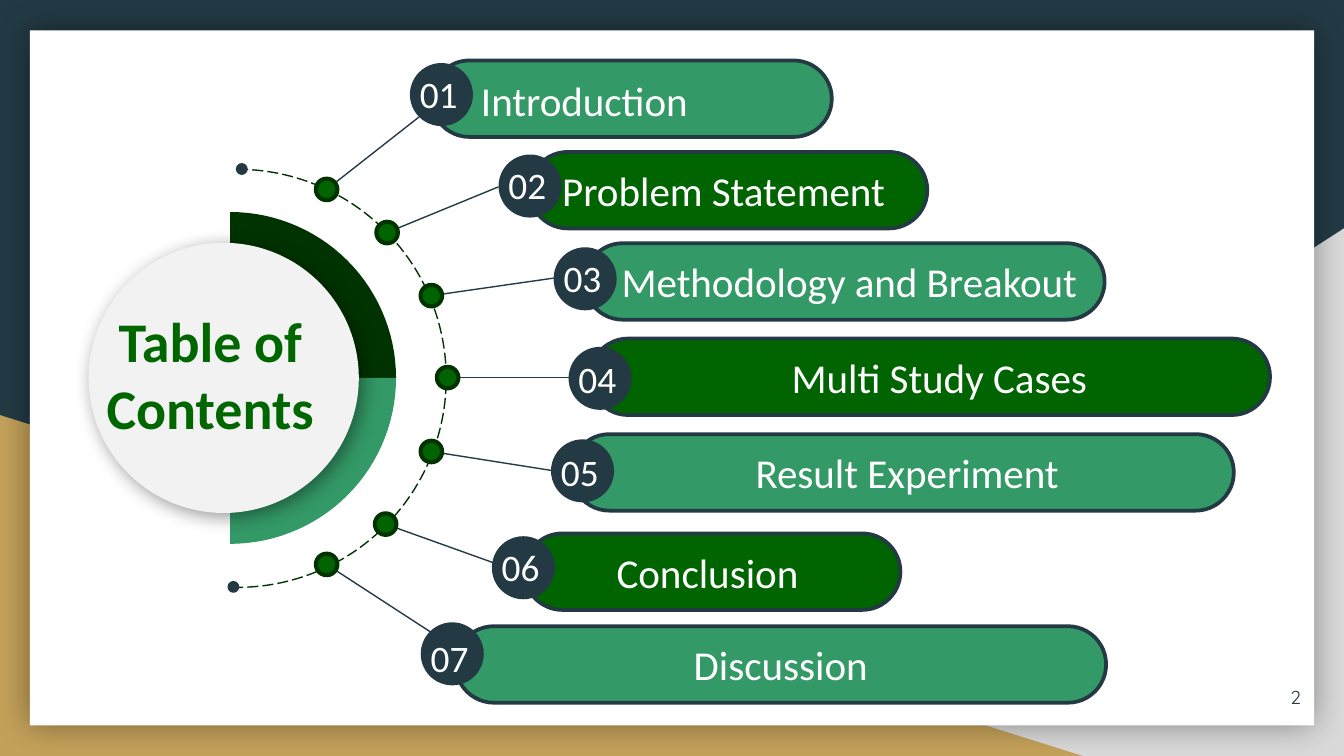
import math

from lxml import etree
from pptx import Presentation
from pptx.dml.color import RGBColor
from pptx.enum import shapes, text
from pptx.oxml import ns
from pptx.util import Pt

NAVY = RGBColor(0x23, 0x3A, 0x44)
GREY = RGBColor(0xD9, 0xD9, 0xD9)
GOLD = RGBColor(0xC4, 0xA1, 0x5A)
WHITE = RGBColor(0xFF, 0xFF, 0xFF)
PALE = RGBColor(0xF2, 0xF2, 0xF2)
FOREST = RGBColor(0x00, 0x33, 0x00)
DARK = RGBColor(0x00, 0x64, 0x00)
LIGHT = RGBColor(0x33, 0x99, 0x66)
TITLE = RGBColor(0x00, 0x66, 0x00)

KIND = shapes.MSO_SHAPE
ALIGN = text.PP_ALIGN
MIDDLE = text.MSO_ANCHOR.MIDDLE

prs = Presentation()
prs.slide_width, prs.slide_height = Pt(720), Pt(405)
s = prs.slides.add_slide(prs.slide_layouts[6])
s.background.fill.solid()
s.background.fill.fore_color.rgb = NAVY


def add_shape(kind, x, y, w, h, fill=None, line=None, width=1):
    sp = s.shapes.add_shape(kind, Pt(x), Pt(y), Pt(w), Pt(h))
    sp.shadow.inherit = False
    if fill is None:
        sp.fill.background()
    else:
        sp.fill.solid()
        sp.fill.fore_color.rgb = fill
    if line is None:
        sp.line.fill.background()
    else:
        sp.line.color.rgb = line
        sp.line.width = Pt(width)
    return sp


def write(sp, lines, size, color=WHITE, align=ALIGN.LEFT, font="Calibri", bold=False):
    tf = sp.text_frame
    tf.word_wrap = True
    for i, line in enumerate(lines):
        p = tf.paragraphs[0] if i == 0 else tf.add_paragraph()
        p.alignment = align
        r = p.add_run()
        r.text = line
        r.font.name, r.font.size, r.font.bold = font, Pt(size), bold
        r.font.color.rgb = color
    return tf


# Backdrop and white panel
grey = add_shape(KIND.RIGHT_TRIANGLE, 282, 122.4, 438, 282.6, GREY)
grey._element.spPr.xfrm.set("flipH", "1")
add_shape(KIND.RIGHT_TRIANGLE, 0, 222.4, 580, 182.6, GOLD)
panel = add_shape(KIND.RECTANGLE, 16, 16.3, 688, 372.4, WHITE)

number = s.shapes.add_textbox(Pt(661), Pt(358), Pt(43), Pt(31))
tf = write(number, ["2"], 10, NAVY, ALIGN.RIGHT, "Quicksand")
tf.vertical_anchor = MIDDLE

# Dashed arc with its end dots
arc = add_shape(KIND.ARC, 15.1, 90.7, 224, 224, None, FOREST, 0.75)
arc.adjustments[0], arc.adjustments[1] = 162, 54.47
arc.line.dash_style = shapes_dash = None
etree.SubElement(arc.line._get_or_add_ln(), ns.qn("a:prstDash"), val="lgDash")
for x, y in ((127.4, 88.4), (122.9, 312.3)):
    add_shape(KIND.OVAL, x, y, 4.3, 4.3, NAVY, NAVY, 2)

# label, pill (x, y, width), badge (x, y), number top, dot centre, line end, text shift
ITEMS = [
    ("Introduction", (231, 32.4, 214.6), (219.6, 33.8), 34.6, (175, 101.5), (224.6, 62.6), 0),
    ("Problem Statement", (283.7, 81.4, 213.1), (267.1, 82.8), 83.5, (207.4, 124.6), (267.1, 100.1), -2.5),
    ("Methodology and Breakout", (313.2, 130.3, 278.6), (296.6, 132.5), 133.2, (231.1, 158.4), (296.6, 149), 2.5),
    ("Multi Study Cases", (316.1, 181.4, 364.3), (304.6, 185.8), 187.2, (239.8, 202.3), (304.6, 202.3), 5),
    ("Result Experiment", (306, 232.6, 355), (295.2, 235.4), 236.9, (231.1, 241.9), (295.2, 252), 2.5),
    ("Conclusion", (280.8, 285.8, 201.6), (263.5, 287.3), 288, (206.6, 280.8), (275, 305.3), -2.5),
    ("Discussion", (244.1, 335.5, 348.5), (225.4, 333.4), 337, (175, 302.4), (230.4, 338.4), 0),
]
DOT, BADGE, PILL_H = 11.5, 33.8, 41

for i, (label, pill, badge, number_y, dot, end, shift) in enumerate(ITEMS):
    # Line from the rim of the dot to the badge
    (cx, cy), (ex, ey) = dot, end
    k = DOT / 2 / math.dist(dot, end)
    line = s.shapes.add_connector(
        shapes.MSO_CONNECTOR.STRAIGHT,
        Pt(cx + k * (ex - cx)), Pt(cy + k * (ey - cy)), Pt(ex), Pt(ey))
    line.line.color.rgb = NAVY
    line.line.width = Pt(0.75)
    etree.SubElement(line._element.spPr, ns.qn("a:effectLst"))
    add_shape(KIND.OVAL, cx - DOT / 2, cy - DOT / 2, DOT, DOT, DARK, FOREST, 2.25)

    x, y, w = pill
    sp = add_shape(KIND.ROUNDED_RECTANGLE, x, y, w, PILL_H, DARK if i % 2 else LIGHT, NAVY, 2)
    sp.adjustments[0] = 0.5
    if i == 0:
        box = s.shapes.add_textbox(Pt(250.6), Pt(36.7), Pt(131.8), Pt(33.8))
        write(box, [label], 22).word_wrap = False
    else:
        tf = write(sp, [label], 22, align=ALIGN.CENTER)
        tf.vertical_anchor = MIDDLE
        tf.margin_left = Pt(7.2 + 2 * max(shift, 0))
        tf.margin_right = Pt(7.2 + 2 * max(-shift, 0))

    x, y = badge
    add_shape(KIND.OVAL, x, y, BADGE, BADGE, NAVY)
    box = s.shapes.add_textbox(Pt(x - 1.8), Pt(number_y), Pt(40), Pt(31.7))
    write(box, [f"{i + 1:02d}"], 20)

# Two quarter discs around the title circle
HUB_X, HUB_Y, RADIUS = 123.3, 202.5, 88.9
for start, color in ((-90, FOREST), (0, LIGHT)):
    angles = [math.radians(start + 3 * step) for step in range(31)]
    rim = [(Pt(HUB_X + RADIUS * math.cos(a)), Pt(HUB_Y + RADIUS * math.sin(a))) for a in angles]
    fb = s.shapes.build_freeform(Pt(HUB_X), Pt(HUB_Y))
    fb.add_line_segments(rim, close=True)
    sp = fb.convert_to_shape()
    sp.shadow.inherit = False
    sp.fill.solid()
    sp.fill.fore_color.rgb = color
    sp.line.fill.background()

circle = add_shape(KIND.OVAL, 47.5, 130.1, 144.7, 144.7, PALE)
title = s.shapes.add_textbox(Pt(40.3), Pt(160.6), Pt(144.7), Pt(80))
write(title, ["Table of", "Contents"], 30, TITLE, ALIGN.CENTER, bold=True)

# Soft shadows: blur, distance, direction in degrees
for sp, blur, dist, angle in ((panel, 18, 0, 0), (circle, 10, 3, 45)):
    effects = sp._element.spPr.find(ns.qn("a:effectLst"))
    shadow = etree.SubElement(
        effects, ns.qn("a:outerShdw"), blurRad=str(Pt(blur)), dist=str(Pt(dist)),
        dir=str(angle * 60000), algn="ctr", rotWithShape="0")
    black = etree.SubElement(shadow, ns.qn("a:srgbClr"), val="000000")
    etree.SubElement(black, ns.qn("a:alpha"), val="40000")

prs.save("out.pptx")
